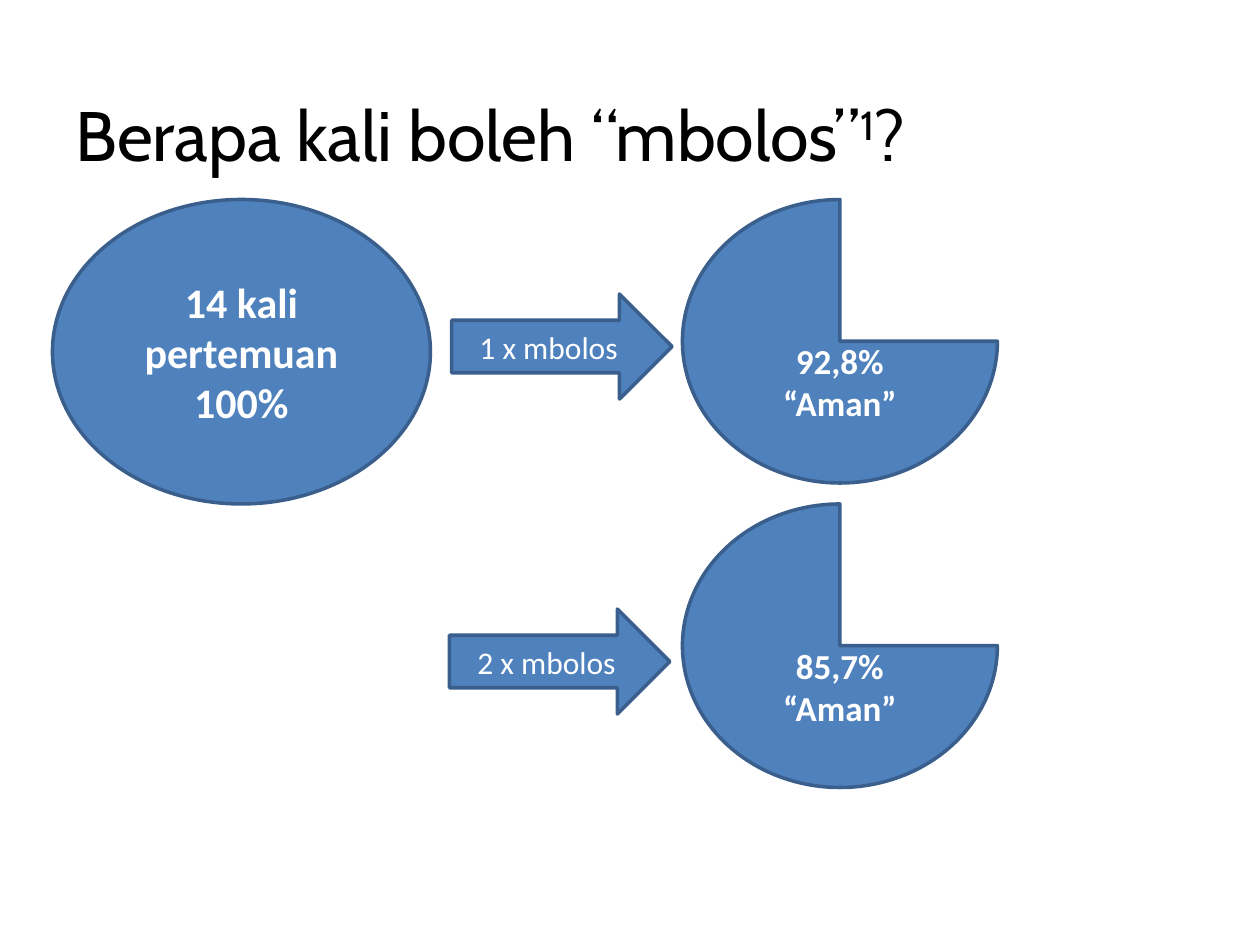
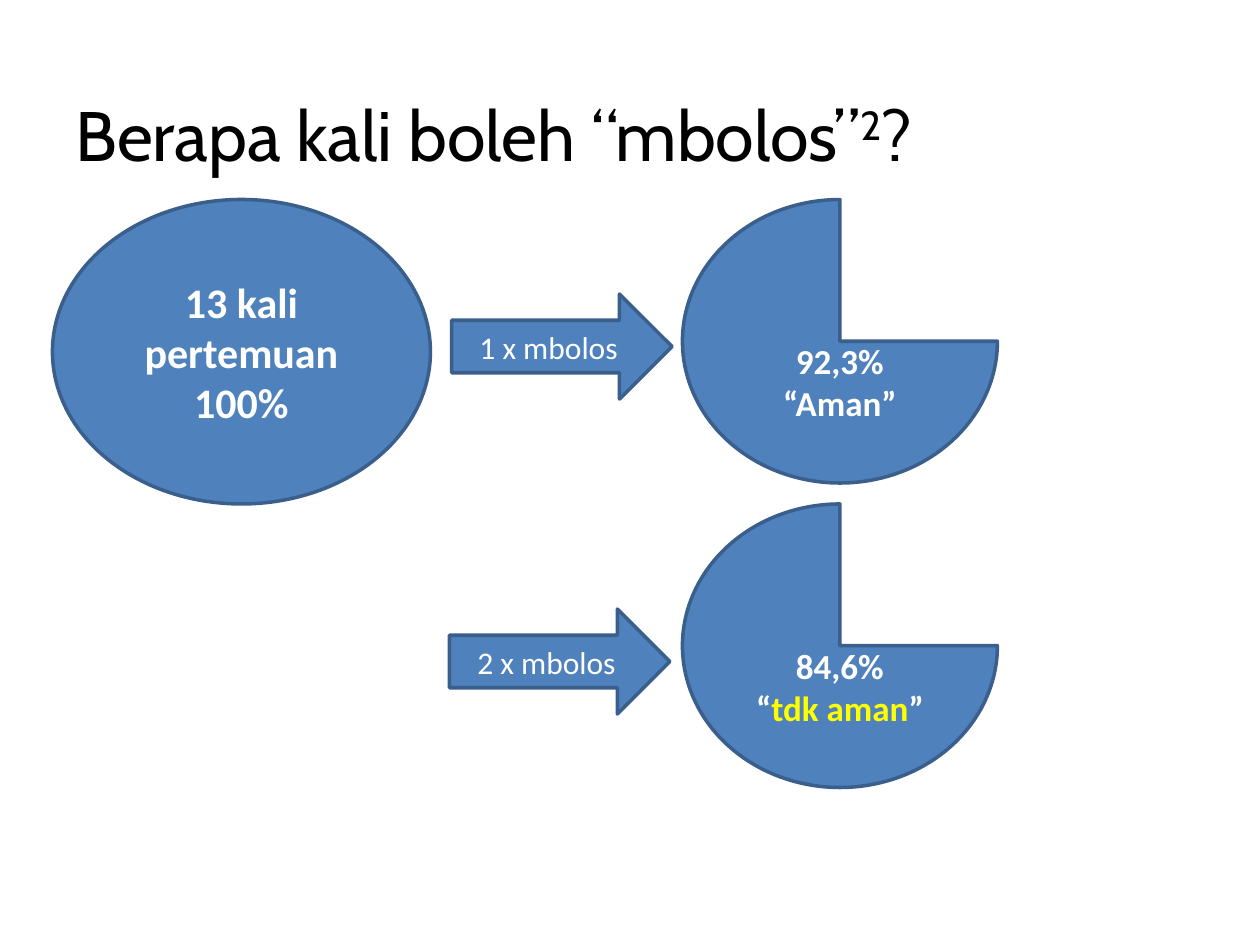
import pptx
import pptx.dml.color
import pptx.enum.shapes
import pptx.enum.text
import pptx.util

SHAPE = pptx.enum.shapes.MSO_SHAPE
ALIGN = pptx.enum.text.PP_ALIGN
ANCHOR = pptx.enum.text.MSO_ANCHOR

COLOURS = {"ink": "000000", "white": "FFFFFF", "blue": "4F81BD",
           "edge": "3A5F8C", "warning": "FFFF00"}
FORMATS = {
    "title": {"name": "Cabin", "size": pptx.util.Pt(40)},
    "total": {"name": "Calibri", "size": pptx.util.Pt(24), "bold": True},
    "arrow": {"name": "Calibri", "size": pptx.util.Pt(18)},
    "share": {"name": "Calibri", "size": pptx.util.Pt(20), "bold": True},
}

CELL = pptx.util.Inches(1) / 12  # the page is a grid of 120 columns by 90 rows
COLUMNS, ROWS = 120, 90
TITLE_BOX = (6, 8, 108, 9.4)
TOTAL_BOX = (5, 19, 36, 29)
# Each branch: its box, and how many rows the arrow sits below the top
BRANCHES = [((43, 19, 52, 27), 9), ((42.8, 48, 52.2, 27), 10)]
ARROW_SIZE = (21, 10)
PIE_WIDTH = 30
PIE_TEXT_DROP = pptx.util.Inches(0.69)

SAFE = [("“Aman”", "white")]
UNSAFE = [("“", "white"), ("tdk aman", "warning"), ("”", "white")]
PAGES = [
    ("1", "14 kali", [("92,8%", SAFE), ("85,7%", SAFE)]),
    ("2", "13 kali", [("92,3%", SAFE), ("84,6%", UNSAFE)]),
]


def on_grid(box):
    return [round(cells * CELL) for cells in box]


def colour(name):
    return pptx.dml.color.RGBColor.from_string(COLOURS[name])


def write(frame, style, lines, align):
    """Fill a text frame; each line is a list of (text, colour name)."""
    frame.word_wrap = True
    frame.vertical_anchor = ANCHOR.MIDDLE
    for index, line in enumerate(lines):
        para = frame.add_paragraph() if index else frame.paragraphs[0]
        para.alignment = align
        for text, tint in line:
            span = para.add_run()
            span.text = text
            span.font.color.rgb = colour(tint)
            for attribute, value in FORMATS[style].items():
                setattr(span.font, attribute, value)


def add_title(page, box, number):
    frame = page.shapes.add_textbox(*on_grid(box)).text_frame
    line = [(text, "ink") for text in ("Berapa kali boleh “mbolos”", number, "?")]
    write(frame, "title", [line], ALIGN.LEFT)
    superscript = frame.paragraphs[0].runs[1]
    superscript.font._element.set("baseline", "30000")


def add_figure(page, kind, box, style, lines):
    figure = page.shapes.add_shape(kind, *on_grid(box))
    figure.shadow.inherit = False
    figure.fill.solid()
    figure.fill.fore_color.rgb = colour("blue")
    figure.line.color.rgb = colour("edge")
    figure.line.width = pptx.util.Pt(2)
    write(figure.text_frame, style, lines, ALIGN.CENTER)
    return figure


def add_total(page, box, meetings):
    lines = [[(text, "white")] for text in (meetings, "pertemuan", "100%")]
    add_figure(page, SHAPE.FLOWCHART_CONNECTOR, box, "total", lines)


def add_branch(page, box, arrow_drop, absences, share, verdict):
    """Arrow at the left of the box, pie filling its right end."""
    left, top, width, height = box
    add_figure(page, SHAPE.RIGHT_ARROW, (left, top + arrow_drop, *ARROW_SIZE),
               "arrow", [[(f"{absences} x mbolos", "white")]])
    pie = add_figure(page, SHAPE.PIE,
                     (left + width - PIE_WIDTH, top, PIE_WIDTH, height),
                     "share", [[(share, "white")], verdict])
    pie.text_frame.margin_top = PIE_TEXT_DROP


def add_attendance_page(deck, number, meetings, outcomes):
    page = deck.slides.add_slide(deck.slide_layouts[6])
    add_title(page, TITLE_BOX, number)
    add_total(page, TOTAL_BOX, meetings)
    for absences, (branch, outcome) in enumerate(zip(BRANCHES, outcomes), 1):
        add_branch(page, *branch, absences, *outcome)


def main():
    deck = pptx.Presentation()
    deck.slide_width, deck.slide_height = on_grid((COLUMNS, ROWS))
    for content in PAGES:
        add_attendance_page(deck, *content)
    deck.save("out.pptx")


if __name__ == "__main__":
    main()
